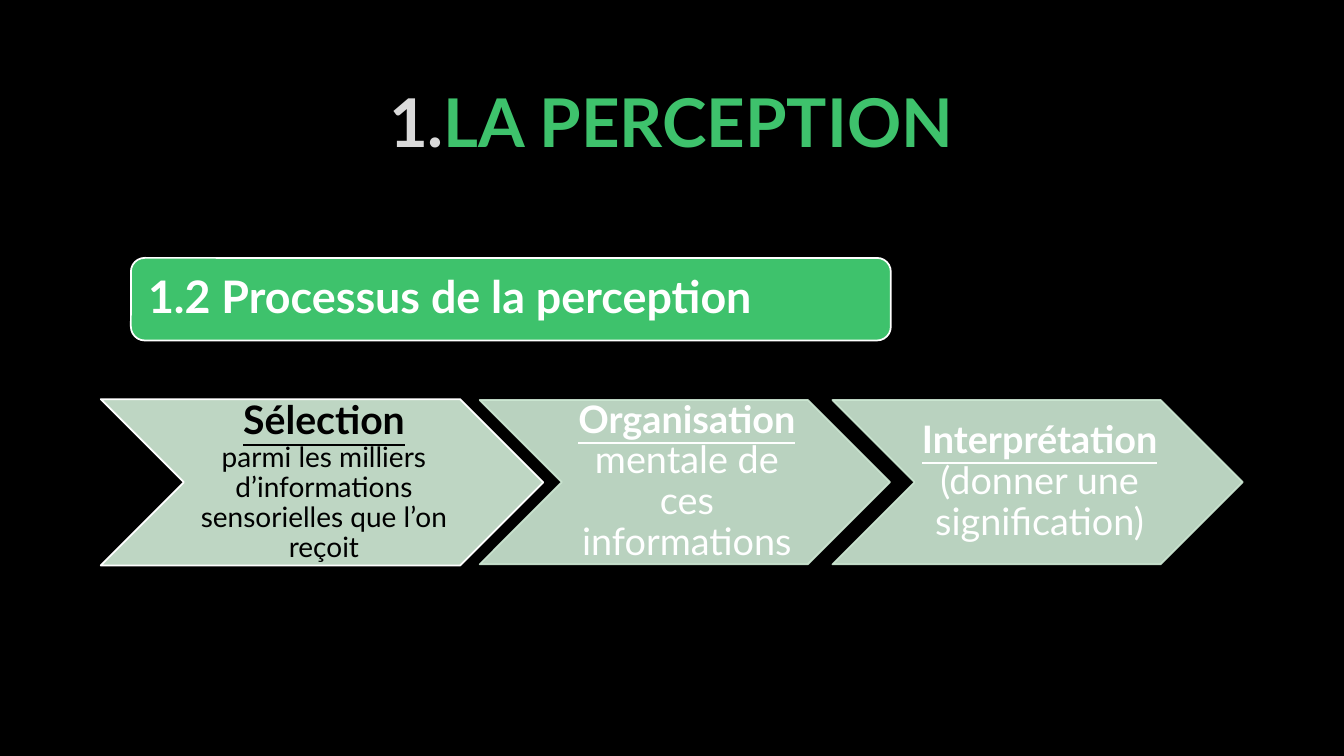
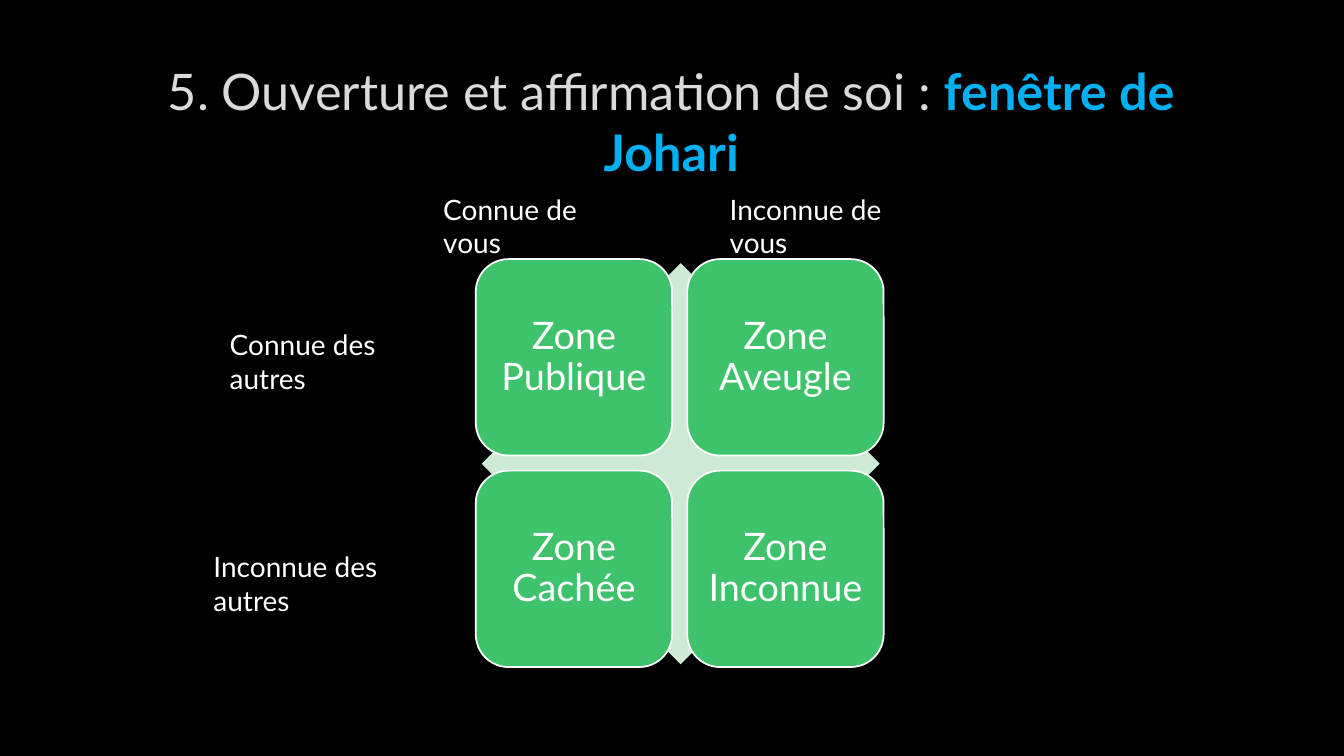
"""Build two slides on perception and the Johari window."""
from lxml.etree import SubElement
from pptx import Presentation
from pptx.dml.color import RGBColor
from pptx.enum.shapes import MSO_SHAPE
from pptx.enum.text import MSO_ANCHOR, MSO_AUTO_SIZE, PP_ALIGN
from pptx.oxml.ns import qn
from pptx.util import Cm, Pt

BLACK = RGBColor(0x00, 0x00, 0x00)
WHITE = RGBColor(0xFF, 0xFF, 0xFF)
LIGHT_GREY = RGBColor(0xDA, 0xDA, 0xDA)
GREEN = RGBColor(0x3E, 0xC2, 0x6C)
PALE_GREEN = RGBColor(0xCE, 0xE9, 0xD4)
SAGE = RGBColor(0xBE, 0xD6, 0xC3)
BLUE = RGBColor(0x00, 0xB0, 0xF0)
FONT = "Lato"


def write(para, size, spans, alignment=PP_ALIGN.CENTER, spacing=0.9):
    """Fill a paragraph with (text, colour, bold, underline) spans."""
    para.alignment = alignment
    para.line_spacing = spacing
    para.font.name = FONT
    para.font.size = Pt(size)
    for text, colour, bold, underline in spans:
        span = para.add_run()
        span.text = text
        span.font.color.rgb = colour
        span.font.bold = bold
        span.font.underline = underline


def add_block(page, kind, bounds, fill, outline, insets=(0, 0, 0, 0)):
    """Add a flat preset shape, its bounds and insets in centimetres."""
    block = page.shapes.add_shape(kind, *map(Cm, bounds))
    block.shadow.inherit = False
    block.fill.solid()
    block.fill.fore_color.rgb = fill
    if outline is None:
        block.line.fill.background()
    else:
        block.line.color.rgb = outline
        block.line.width = Pt(1.25)
    frame = block.text_frame
    frame.word_wrap = True
    frame.vertical_anchor = MSO_ANCHOR.MIDDLE
    frame.margin_left, frame.margin_top, frame.margin_right, frame.margin_bottom = map(Cm, insets)
    return block


deck = Presentation()
deck.slide_width, deck.slide_height = Cm(33.87), Cm(19.05)
background = deck.slide_master.background.fill
background.solid()
background.fore_color.rgb = BLACK

titles = [
    (48, [("1.", LIGHT_GREY, True, False), ("LA PERCEPTION", GREEN, True, False)]),
    (36, [("5. Ouverture et affirmation de soi : ", LIGHT_GREY, False, False),
          ("fenêtre de Johari", BLUE, True, False)]),
]
for size, spans in titles:
    page = deck.slides.add_slide(deck.slide_layouts[5])
    title = page.shapes.title
    title.left, title.top, title.width, title.height = Cm(2.54), Cm(1.7), Cm(28.75), Cm(2.69)
    title.text_frame.auto_size = MSO_AUTO_SIZE.NONE
    title.text_frame.vertical_anchor = MSO_ANCHOR.MIDDLE
    write(title.text_frame.paragraphs[0], size, spans, spacing=1.0)

process_page, johari_page = deck.slides

chevron_insets = (0.1, 0.05, 0, 0.05)
selection = add_block(process_page, MSO_SHAPE.CHEVRON, (2.54, 10.06, 11.15, 4.19),
                      SAGE, WHITE, chevron_insets)
write(selection.text_frame.paragraphs[0], 28, [("Sélection", BLACK, True, True)])
write(selection.text_frame.add_paragraph(), 20,
      [("parmi les milliers d’informations sensorielles que l’on reçoit", BLACK, False, False)])

steps = [("Organisation", " mentale de ces informations"),
         ("Interprétation", " (donner une signification)")]
for index, (name, detail) in enumerate(steps):
    step = add_block(process_page, MSO_SHAPE.CHEVRON, (12.09 + index * 8.89, 10.08, 10.34, 4.14),
                     PALE_GREEN, PALE_GREEN, chevron_insets)
    for colour in step._element.spPr.iter(qn("a:srgbClr")):
        SubElement(colour, qn("a:alpha"), val="90000")
    write(step.text_frame.paragraphs[0], 27,
          [(name, WHITE, True, True), (detail, WHITE, False, False)])

banner = add_block(process_page, MSO_SHAPE.ROUNDED_RECTANGLE, (3.3, 6.5, 19.15, 2.08),
                   GREEN, WHITE, (0.33,) * 4)
write(banner.text_frame.paragraphs[0], 32,
      [("1.2 Processus de la perception", WHITE, True, False)], PP_ALIGN.LEFT)

add_block(johari_page, MSO_SHAPE.DIAMOND, (12.14, 6.63, 10.03, 10.11), PALE_GREEN, None)
zones = ["Zone Publique", "Zone Aveugle", "Zone Cachée", "Zone Inconnue"]
for index, name in enumerate(zones):
    row, column = divmod(index, 2)
    bounds = (11.99 + column * 5.33, 6.53 + row * 5.33, 4.95, 4.95)
    zone = add_block(johari_page, MSO_SHAPE.ROUNDED_RECTANGLE, bounds, GREEN, WHITE, (0.28,) * 4)
    write(zone.text_frame.paragraphs[0], 27, [(name, WHITE, False, False)])

labels = [
    ("Connue des autres", 5.54, 8.13, 6.07),
    ("Inconnue des autres", 5.13, 13.72, 6.53),
    ("Connue de vous", 10.92, 4.72, 5.36),
    ("Inconnue de vous", 18.14, 4.72, 5.94),
]
for text, left, top, width in labels:
    box = johari_page.shapes.add_textbox(Cm(left), Cm(top), Cm(width), Cm(1.12))
    box.text_frame.word_wrap = True
    write(box.text_frame.paragraphs[0], 20, [(text, WHITE, False, False)], PP_ALIGN.LEFT, 1.0)

deck.save("out.pptx")
